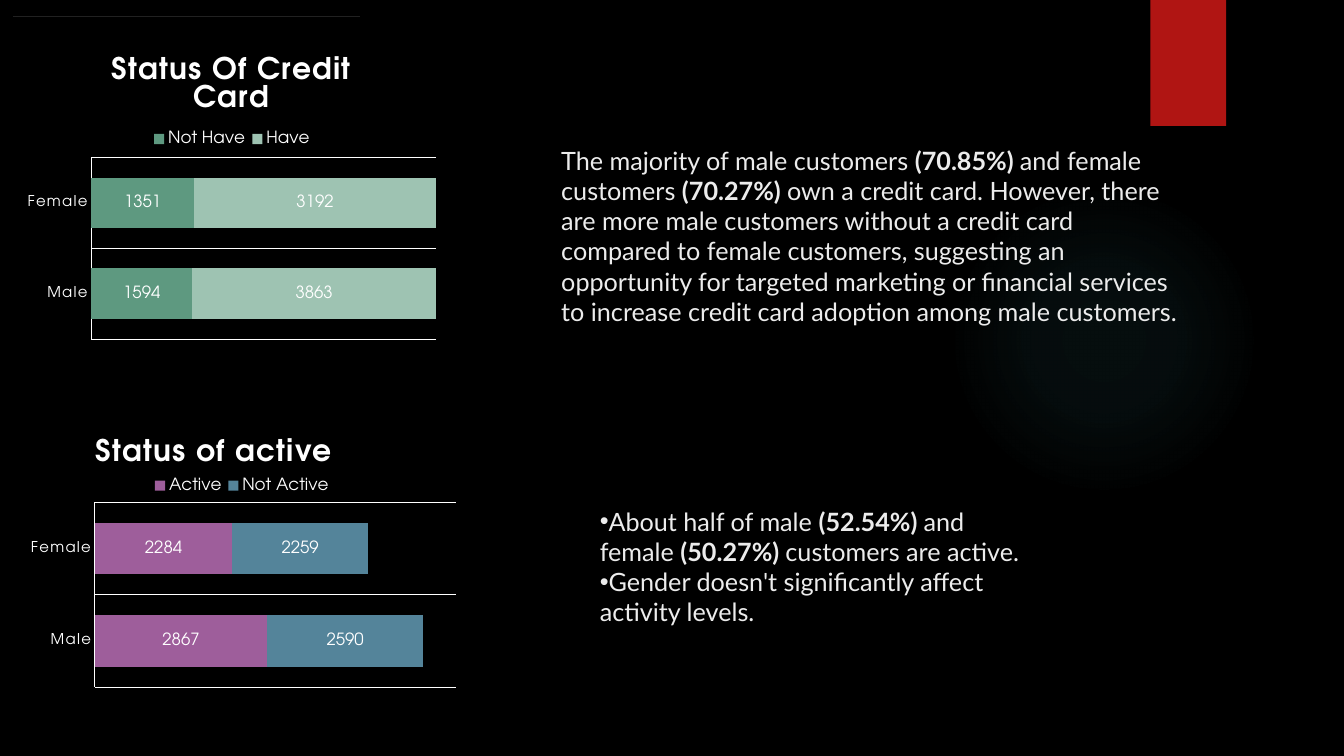
from dataclasses import dataclass

from pptx import Presentation
from pptx.chart.data import CategoryChartData
from pptx.dml.color import RGBColor
from pptx.enum.chart import XL_CHART_TYPE, XL_LABEL_POSITION, XL_LEGEND_POSITION, XL_TICK_MARK
from pptx.enum.shapes import MSO_CONNECTOR, MSO_SHAPE
from pptx.enum.text import MSO_ANCHOR, MSO_AUTO_SIZE, PP_ALIGN
from pptx.oxml import parse_xml
from pptx.oxml.ns import nsdecls
from pptx.util import Pt

STACKED = XL_CHART_TYPE.BAR_STACKED
STACKED_100 = XL_CHART_TYPE.BAR_STACKED_100
LABEL_CENTER = XL_LABEL_POSITION.CENTER
LEGEND_TOP = XL_LEGEND_POSITION.TOP
NO_TICK = XL_TICK_MARK.NONE
STRAIGHT = MSO_CONNECTOR.STRAIGHT
OVAL, RECTANGLE = MSO_SHAPE.OVAL, MSO_SHAPE.RECTANGLE
TOP, NO_FIT = MSO_ANCHOR.TOP, MSO_AUTO_SIZE.NONE
LEFT, CENTER = PP_ALIGN.LEFT, PP_ALIGN.CENTER


@dataclass(frozen=True)
class Theme:
    background: str = "000000"
    white: str = "FFFFFF"
    body_color: str = "ECECEC"
    accent: str = "B01513"
    rule: str = "212121"
    glow: str = "50B9C1"
    body_font: str = "Lato"
    chart_font: str = "TeX Gyre Adventor"
    body_size: float = 18
    title_size: float = 21.3
    label_size: float = 12
    axis_size: float = 10.6


theme = Theme()


def add_text(frame, paragraphs, font, size, color, align=LEFT, bold=False, bullet=None, tracking=0):
    frame.word_wrap = True
    for index, text in enumerate(paragraphs):
        paragraph = frame.add_paragraph() if index else frame.paragraphs[0]
        paragraph.alignment = align
        paragraph.space_before = Pt(0)
        if bullet:
            properties = paragraph._p.get_or_add_pPr()
            properties.set("marL", "0")
            properties.set("indent", "0")
            properties.append(parse_xml(f'<a:buChar {nsdecls("a")} char="{bullet}"/>'))
        for position, part in enumerate(text.split("*")):
            run = paragraph.add_run()
            run.text = part
            run.font.name = font
            run.font.size = Pt(size)
            run.font.bold = bold or position % 2 == 1
            run.font.color.rgb = RGBColor.from_string(color)
            run._r.get_or_add_rPr().set("spc", str(tracking))


def set_layout(element, index, inner=False, **fractions):
    for existing in element.xpath("c:layout"):
        element.remove(existing)
    target = '<c:layoutTarget val="inner"/>' if inner else ""
    modes = "".join(f'<c:{key}Mode val="edge"/>' for key in ("x", "y"))
    values = "".join(f'<c:{key} val="{value}"/>' for key, value in fractions.items())
    element.insert(index, parse_xml(
        f'<c:layout {nsdecls("c")}><c:manualLayout>{target}{modes}{values}</c:manualLayout></c:layout>'))


presentation = Presentation()
presentation.slide_width, presentation.slide_height = Pt(960), Pt(540)
slide = presentation.slides.add_slide(presentation.slide_layouts[1])
slide.background.fill.solid()
slide.background.fill.fore_color.rgb = RGBColor.from_string(theme.background)
title_placeholder, activity_list = slide.placeholders
title_placeholder.element.getparent().remove(title_placeholder.element)

glow = slide.shapes.add_shape(OVAL, Pt(677.5), Pt(131.8), Pt(221.8), Pt(221.8))
glow.shadow.inherit = False
glow.line.fill.background()
glow.fill.background()
stops = "".join(
    f'<a:gs pos="{position * 1000}"><a:srgbClr val="{theme.glow}"><a:alpha val="{alpha * 1000}"/></a:srgbClr></a:gs>'
    for position, alpha in ((0, 7), (36, 6), (69, 0)))
no_fill = glow.element.spPr.xpath("a:noFill")[0]
no_fill.getparent().replace(no_fill, parse_xml(
    f'<a:gradFill {nsdecls("a")}><a:gsLst>{stops}</a:gsLst><a:path path="circle">'
    '<a:fillToRect l="50000" t="50000" r="50000" b="50000"/></a:path></a:gradFill>'))

ribbon = slide.shapes.add_shape(RECTANGLE, Pt(821.8), Pt(0), Pt(54), Pt(90))
ribbon.shadow.inherit = False
ribbon.line.fill.background()
ribbon.fill.solid()
ribbon.fill.fore_color.rgb = RGBColor.from_string(theme.accent)

charts = [
    dict(kind=STACKED_100, box=(13.7, 26.6, 304, 220.3), title=["Status Of Credit", "Card"], maximum=None,
         series=[("Not Have", (1594, 1351), "5E9980"), ("Have", (3863, 3192), "9EC3B2")],
         title_at=dict(x=0.21, y=0.05), legend_at=dict(x=0.3, y=0.29, w=0.4, h=0.08),
         plot_at=dict(x=0.17, y=0.39, w=0.81, h=0.59)),
    dict(kind=STACKED, box=(13.7, 299.5, 318.2, 197.3), title=["Status of active"], maximum=6000,
         series=[("Active", (2867, 2284), "9E5E9B"), ("Not Active", (2590, 2259), "54849A")],
         title_at=dict(x=0.16, y=0.04), legend_at=dict(x=0.29, y=0.2, w=0.42, h=0.08),
         plot_at=dict(x=0.17, y=0.3, w=0.81, h=0.67)),
]
white = RGBColor.from_string(theme.white)
for settings in charts:
    chart_data = CategoryChartData()
    chart_data.categories = ["Male", "Female"]
    for name, values, color in settings["series"]:
        chart_data.add_series(name, values)
    box = [Pt(length) for length in settings["box"]]
    chart = slide.shapes.add_chart(settings["kind"], *box, chart_data).chart
    add_text(chart.chart_title.text_frame, settings["title"], theme.chart_font, theme.title_size,
             theme.white, align=CENTER, bold=True, tracking=100)
    chart.has_legend = True
    chart.legend.position = LEGEND_TOP
    chart.legend.include_in_layout = False

    plot = chart.plots[0]
    plot.gap_width, plot.overlap = 79, 100
    plot.vary_by_categories = False
    for series, (name, values, color) in zip(plot.series, settings["series"]):
        series.format.fill.solid()
        series.format.fill.fore_color.rgb = RGBColor.from_string(color)
        series.data_labels.show_value = True
        series.data_labels.position = LABEL_CENTER

    category_axis, value_axis = chart.category_axis, chart.value_axis
    category_axis.major_tick_mark = category_axis.minor_tick_mark = NO_TICK
    category_axis.has_major_gridlines = True
    for line in (category_axis.format.line, category_axis.major_gridlines.format.line):
        line.color.rgb = white
        line.width = Pt(0.75)
    value_axis.has_major_gridlines = False
    value_axis.visible = False
    value_axis.maximum_scale = settings["maximum"]

    label_fonts = [series.data_labels.font for series in plot.series]
    sized_fonts = [(font, theme.label_size) for font in (chart.font, chart.legend.font, *label_fonts)]
    for font, size in sized_fonts + [(category_axis.tick_labels.font, theme.axis_size)]:
        font.name, font.size = theme.chart_font, Pt(size)
        font.color.rgb = white

    chart_space = chart._chartSpace
    chart_space.xpath("c:chart/c:plotArea/c:catAx/c:txPr//a:defRPr")[0].set("spc", "100")
    set_layout(chart_space.xpath("c:chart/c:title")[0], 1, **settings["title_at"])
    set_layout(chart_space.xpath("c:chart/c:legend")[0], 1, **settings["legend_at"])
    set_layout(chart_space.xpath("c:chart/c:plotArea")[0], 0, inner=True, **settings["plot_at"])

card_text = slide.shapes.add_textbox(Pt(393.8), Pt(100), Pt(457.2), Pt(138.2))
add_text(card_text.text_frame, [
    "The majority of male customers *(70.85%) *and female customers *(70.27%) *own a credit card. "
    "However, there are more male customers without a credit card compared to female customers, "
    "suggesting an opportunity for targeted marketing or financial services to increase credit card "
    "adoption among male customers."], theme.body_font, theme.body_size, theme.body_color)

activity_list.left, activity_list.top = Pt(421.2), Pt(357.8)
activity_list.width, activity_list.height = Pt(318.2), Pt(138.2)
activity_list.text_frame.auto_size = NO_FIT
activity_list.text_frame.vertical_anchor = TOP
add_text(activity_list.text_frame, [
    "About half of male *(52.54%) *and female *(50.27%) *customers are active.",
    "Gender doesn't significantly affect activity levels."],
    theme.body_font, theme.body_size, theme.body_color, bullet="•")

rule = slide.shapes.add_connector(STRAIGHT, Pt(9.4), Pt(12), Pt(257), Pt(12))
rule.line.color.rgb = RGBColor.from_string(theme.rule)
rule.line.width = Pt(0.5)
rule.element.spPr.append(parse_xml(f'<a:effectLst {nsdecls("a")}/>'))

presentation.save("out.pptx")
